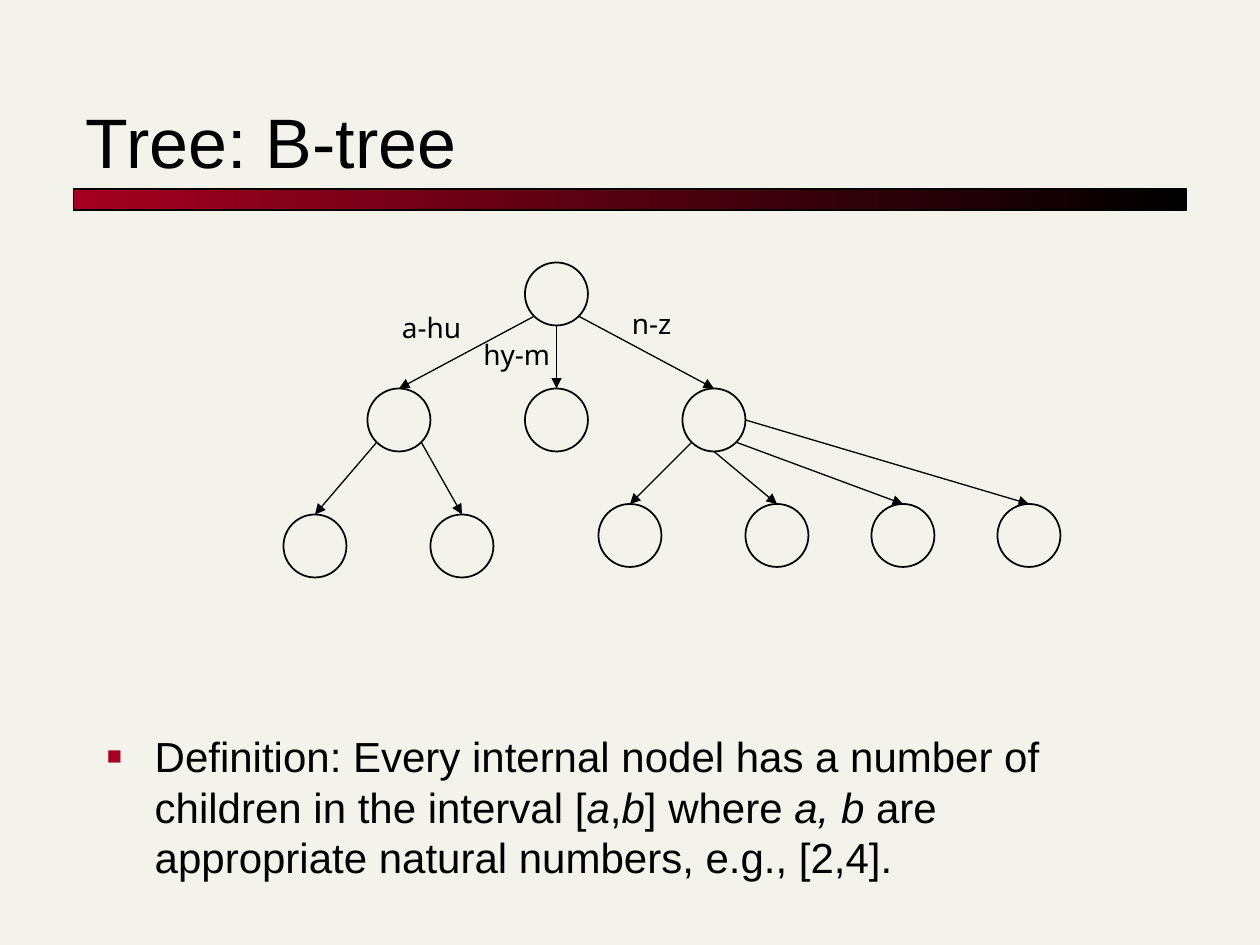
import math
from dataclasses import dataclass

import lxml.etree
import pptx
import pptx.dml.color
import pptx.enum.dml
import pptx.enum.shapes
import pptx.enum.text
import pptx.oxml.ns
import pptx.util


@dataclass(frozen=True)
class Theme:
    paper: str = "F4F3EB"
    ink: str = "000000"
    accent: str = "A50021"
    font: str = "Arial"
    label_font: str = "Noto Sans"
    title_size: int = 40
    body_size: int = 24
    label_size: int = 16
    outline: float = 1
    edge: float = 0.75


THEME = Theme()
CELL = pptx.util.Inches(10) / 120
NODE_CELLS = 6

NODES = {
    "root": (50, 25),
    "left": (35, 37),
    "middle": (50, 37),
    "right": (65, 37),
    "left one": (27, 49),
    "left two": (41, 49),
    "right one": (57, 48),
    "right two": (71, 48),
    "right three": (83, 48),
    "right four": (95, 48),
}

EDGES = [
    ("root", "left", 135),
    ("root", "middle", 90),
    ("root", "right", 45),
    ("left", "left one", 135),
    ("left", "left two", 45),
    ("right", "right one", 135),
    ("right", "right two", 90),
    ("right", "right three", 45),
    ("right", "right four", 0),
]

LABELS = [
    ("a-hu", (37.1, 29, 8, 4.4)),
    ("hy-m", (44.85, 31.6, 8.8, 4.4)),
    ("n-z", (59, 28.6, 6.2, 4.4)),
]

DEFINITION = [
    ("Definition: Every internal nodel has a number of children in the interval [", False),
    ("a", True),
    (",", False),
    ("b", True),
    ("] where ", False),
    ("a, b", True),
    (" are appropriate natural numbers, e.g., [2,4].", False),
]


def cells(*counts):
    return [round(count * CELL) for count in counts]


def color(value):
    return pptx.dml.color.RGBColor.from_string(value)


def apply(target, values):
    for name, value in values.items():
        setattr(target, name, value)


def add_xml(parent, tag, **attributes):
    return lxml.etree.SubElement(parent, pptx.oxml.ns.qn(tag), attributes)


def set_line(line, width):
    line.color.rgb = color(THEME.ink)
    line.width = pptx.util.Pt(width)


def add_text(page, place, spans, size, font=THEME.font, **frame_format):
    box = page.shapes.add_textbox(*cells(*place))
    apply(box.text_frame, {"word_wrap": True, **frame_format})
    para = box.text_frame.paragraphs[0]
    for text, italic in spans:
        span = para.add_run()
        span.text = text
        apply(span.font, {"name": font, "size": pptx.util.Pt(size), "italic": italic})
        span.font.color.rgb = color(THEME.ink)
    return para


def add_bullet(para):
    indent = pptx.util.Inches(0.38)
    para.space_before = pptx.util.Pt(6)
    properties = para._p.get_or_add_pPr()
    for name, value in {"marL": indent, "indent": -indent}.items():
        properties.set(name, str(value))
    bullet_color = add_xml(properties, "a:buClr")
    add_xml(bullet_color, "a:srgbClr", val=THEME.accent)
    add_xml(properties, "a:buSzPct", val="60000")
    add_xml(properties, "a:buFont", typeface=THEME.font)
    add_xml(properties, "a:buChar", char="■")


def add_rule(page):
    rule = page.shapes.add_shape(
        pptx.enum.shapes.MSO_SHAPE.RECTANGLE, *cells(7, 18, 106, 2)
    )
    rule.shadow.inherit = False
    rule.fill.gradient()
    rule.fill.gradient_angle = 0
    for stop, value, position in zip(
        rule.fill.gradient_stops, (THEME.accent, THEME.ink), (0, 1)
    ):
        stop.color.rgb = color(value)
        stop.position = position
    set_line(rule.line, THEME.edge)


def add_node(page, column, row):
    node = page.shapes.add_shape(
        pptx.enum.shapes.MSO_SHAPE.OVAL, *cells(column, row, NODE_CELLS, NODE_CELLS)
    )
    node.shadow.inherit = False
    node.fill.background()
    set_line(node.line, THEME.outline)
    return node


def add_edge(page, parent, child, angle):
    radius = parent.width / 2
    turn = math.radians(angle)
    start_x = round(parent.left + radius + radius * math.cos(turn))
    start_y = round(parent.top + radius + radius * math.sin(turn))
    edge = page.shapes.add_connector(
        pptx.enum.shapes.MSO_CONNECTOR.STRAIGHT,
        start_x, start_y, child.left + child.width // 2, child.top,
    )
    edge.end_connect(child, 0)
    set_line(edge.line, THEME.edge)
    add_xml(edge.line._get_or_add_ln(), "a:tailEnd", type="triangle")
    add_xml(edge._element.spPr, "a:effectLst")


def add_tree(page):
    nodes = {name: add_node(page, *place) for name, place in NODES.items()}
    for parent, child, angle in EDGES:
        add_edge(page, nodes[parent], nodes[child], angle)
    for text, place in LABELS:
        add_text(page, place, [(text, False)], THEME.label_size, THEME.label_font,
                 word_wrap=False,
                 auto_size=pptx.enum.text.MSO_AUTO_SIZE.SHAPE_TO_FIT_TEXT)


def main():
    deck = pptx.Presentation()
    apply(deck, {"slide_width": pptx.util.Inches(10), "slide_height": pptx.util.Inches(7.5)})
    page = deck.slides.add_slide(deck.slide_layouts[6])
    page.background.fill.solid()
    page.background.fill.fore_color.rgb = color(THEME.paper)
    add_rule(page)
    add_tree(page)
    add_text(page, (7, 5, 106, 13), [("Tree: B-tree", False)], THEME.title_size,
             vertical_anchor=pptx.enum.text.MSO_ANCHOR.BOTTOM)
    add_bullet(add_text(page, (9, 69, 102, 18), DEFINITION, THEME.body_size))
    deck.save("out.pptx")


if __name__ == "__main__":
    main()
